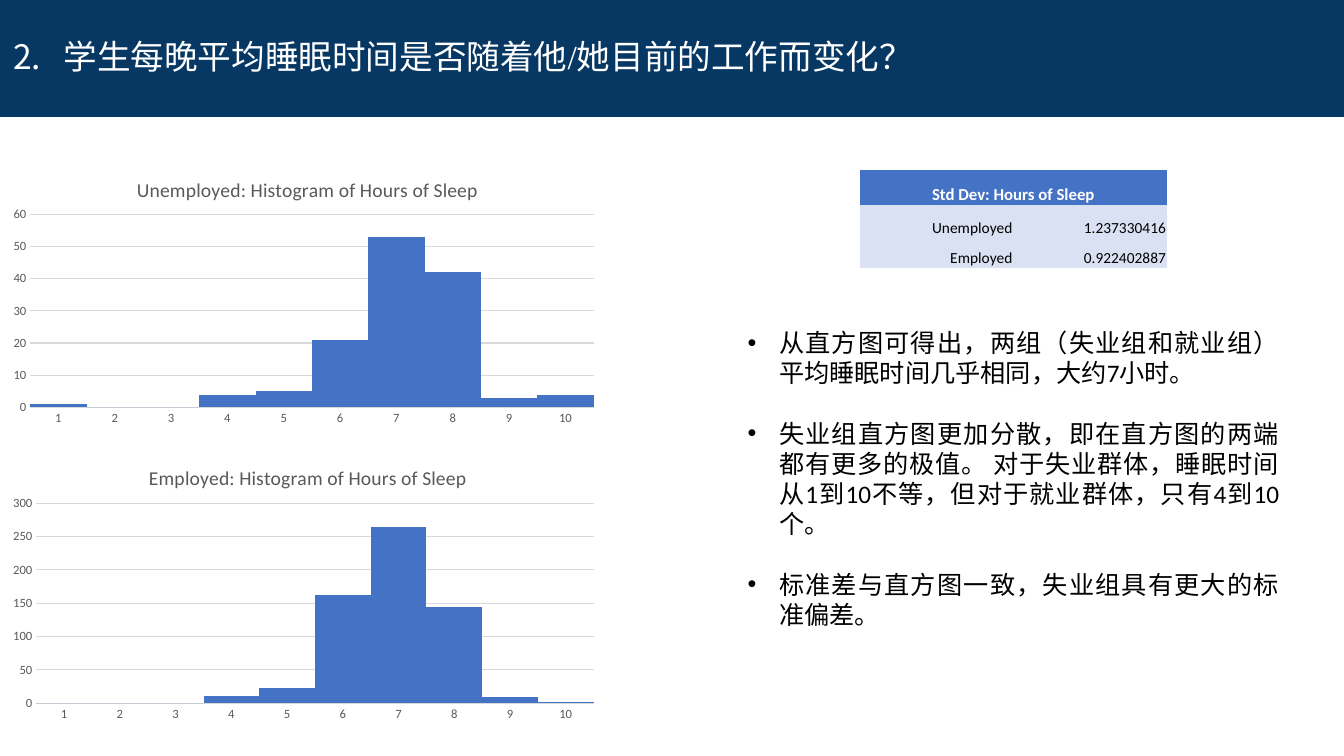
from dataclasses import dataclass

from lxml import etree
from pptx import Presentation
from pptx.chart.data import CategoryChartData
from pptx.dml.color import RGBColor
from pptx.enum.chart import XL_CHART_TYPE, XL_TICK_MARK
from pptx.enum.text import MSO_ANCHOR, MSO_AUTO_SIZE, PP_ALIGN
from pptx.oxml.ns import qn
from pptx.util import Pt

COLORS = {
    "navy": "073763",
    "blue": "4472C4",
    "pale": "D9E1F2",
    "grid": "D9D9D9",
    "gray": "595959",
    "white": "FFFFFF",
    "black": "000000",
}
NO_TABLE_STYLE = "{2D5ABB26-0587-4C30-8999-92F81FD0307C}"


@dataclass(frozen=True)
class Histogram:
    title: str
    counts: tuple[int, ...]
    top: float
    height: float
    axis_max: int
    axis_step: int
    title_x: float
    plot_box: dict[str, float]


HISTOGRAMS = (
    Histogram("Unemployed: Histogram of Hours of Sleep", (1, 0, 0, 4, 5, 21, 53, 42, 3, 4),
              111.6, 197.3, 60, 10, 0.22, {"x": 0.05, "y": 0.21, "w": 0.93, "h": 0.7}),
    Histogram("Employed: Histogram of Hours of Sleep", (0, 0, 0, 10, 22, 163, 265, 144, 9, 1),
              316.8, 203.8, 300, 50, 0.24, {"x": 0.06, "y": 0.21, "w": 0.92, "h": 0.7}),
)
FINDINGS = (
    "从直方图可得出，两组（失业组和就业组）平均睡眠时间几乎相同，大约7小时。",
    "失业组直方图更加分散，即在直方图的两端都有更多的极值。 对于失业群体，睡眠时间从1到10不等，但对于就业群体，只有4到10个。",
    "标准差与直方图一致，失业组具有更大的标准偏差。",
)
DEVIATIONS = (
    ("Std Dev: Hours of Sleep", ""),
    ("Unemployed", "1.237330416"),
    ("Employed", "0.922402887"),
)


def rgb(name: str) -> RGBColor:
    return RGBColor.from_string(COLORS[name])


def style_font(font, size: float, color: str, name: str = "Calibri", bold: bool = False) -> None:
    font.size, font.name, font.bold = Pt(size), name, bold
    font.color.rgb = rgb(color)


def add_bullet(paragraph, indent: float, typeface: str, tag: str, **attributes: str) -> None:
    properties = paragraph._p.get_or_add_pPr()
    properties.set("marL", str(Pt(indent)))
    properties.set("indent", str(Pt(-indent)))
    etree.SubElement(properties, qn("a:buFont")).set("typeface", typeface)
    etree.SubElement(properties, qn(tag), attributes)


def set_layout(parent, position: int, box: dict[str, float], inner: bool = False) -> None:
    for old in parent.findall(qn("c:layout")):
        parent.remove(old)
    layout = etree.Element(qn("c:layout"))
    manual = etree.SubElement(layout, qn("c:manualLayout"))
    if inner:
        etree.SubElement(manual, qn("c:layoutTarget")).set("val", "inner")
    for key in ("x", "y"):
        etree.SubElement(manual, qn(f"c:{key}Mode")).set("val", "edge")
    for key, value in box.items():
        etree.SubElement(manual, qn(f"c:{key}")).set("val", str(value))
    parent.insert(position, layout)


def set_title(slide, text: str) -> None:
    title = slide.shapes.title
    title.left, title.top, title.width, title.height = Pt(0), Pt(0), Pt(960), Pt(83.5)
    title.fill.solid()
    title.fill.fore_color.rgb = rgb("navy")
    frame = title.text_frame
    frame.text = text
    frame.word_wrap, frame.auto_size = True, MSO_AUTO_SIZE.NONE
    frame.vertical_anchor = MSO_ANCHOR.MIDDLE
    frame.margin_left = frame.margin_right = frame.margin_top = frame.margin_bottom = Pt(9.4)
    paragraph = frame.paragraphs[0]
    paragraph.alignment, paragraph.line_spacing = PP_ALIGN.LEFT, 0.9
    add_bullet(paragraph, 36, "Calibri", "a:buAutoNum", type="arabicPeriod", startAt="2")
    style_font(paragraph.runs[0].font, 24, "white", "Times New Roman")


def add_findings(slide) -> None:
    frame = slide.shapes.add_textbox(Pt(527), Pt(230.4), Pt(393.8), Pt(225.4)).text_frame
    frame.word_wrap = True
    for index, finding in enumerate(FINDINGS):
        paragraph = frame.add_paragraph() if index else frame.paragraphs[0]
        paragraph.alignment = PP_ALIGN.JUSTIFY
        paragraph.space_before = Pt(21.5 if index else 0)
        add_bullet(paragraph, 22.5, "Arial", "a:buChar", char="•")
        run = paragraph.add_run()
        run.text = finding
        style_font(run.font, 18, "black")


def add_histogram(slide, spec: Histogram) -> None:
    data = CategoryChartData()
    data.categories = [str(hour) for hour in range(1, len(spec.counts) + 1)]
    data.add_series("Series 1", spec.counts)
    chart = slide.shapes.add_chart(XL_CHART_TYPE.COLUMN_CLUSTERED, Pt(0), Pt(spec.top),
                                   Pt(432.7), Pt(spec.height), data).chart
    style_font(chart.font, 10, "black")
    chart.has_legend = False
    title = chart.chart_title
    title.text_frame.text = spec.title
    title.include_in_layout = False
    style_font(title.text_frame.paragraphs[0].runs[0].font, 14, "gray")

    plot = chart.plots[0]
    plot.gap_width, plot.vary_by_categories = 0, False
    fill = plot.series[0].format.fill
    fill.solid()
    fill.fore_color.rgb = rgb("blue")

    hours, counts = chart.category_axis, chart.value_axis
    for axis in (hours, counts):
        axis.major_tick_mark = axis.minor_tick_mark = XL_TICK_MARK.NONE
        style_font(axis.tick_labels.font, 9, "gray")
    counts.minimum_scale, counts.maximum_scale = 0, spec.axis_max
    counts.major_unit = spec.axis_step
    counts.format.line.fill.background()
    for line in (hours.format.line, counts.major_gridlines.format.line):
        line.color.rgb, line.width = rgb("grid"), Pt(0.75)

    set_layout(next(chart.element.iter(qn("c:plotArea"))), 0, spec.plot_box, inner=True)
    set_layout(next(chart.element.iter(qn("c:title"))), 1, {"x": spec.title_x, "y": 0.06})


def add_deviations(slide) -> None:
    frame = slide.shapes.add_table(3, 2, Pt(614.2), Pt(121.7), Pt(219.4), Pt(69.8))
    next(frame.element.iter(qn("a:tableStyleId"))).text = NO_TABLE_STYLE
    table = frame.table
    for row, height in zip(table.rows, (24.8, 23, 22)):
        row.height = Pt(height)
    table.cell(0, 0).merge(table.cell(0, 1))
    for row, values in enumerate(DEVIATIONS):
        header = row == 0
        for column, value in enumerate(values):
            cell = table.cell(row, column)
            cell.fill.solid()
            cell.fill.fore_color.rgb = rgb("blue" if header else "pale")
            cell.margin_left = cell.margin_right = cell.margin_top = Pt(0.7)
            cell.margin_bottom = Pt(0)
            cell.vertical_anchor = MSO_ANCHOR.BOTTOM
            paragraph = cell.text_frame.paragraphs[0]
            paragraph.text = value
            paragraph.alignment = PP_ALIGN.CENTER if header else PP_ALIGN.RIGHT
            style_font(paragraph.font, 12 if header else 11,
                       "white" if header else "black", bold=header)


def main() -> None:
    deck = Presentation()
    deck.slide_width, deck.slide_height = Pt(960), Pt(540)
    slide = deck.slides.add_slide(deck.slide_layouts[5])
    set_title(slide, "学生每晚平均睡眠时间是否随着他/她目前的工作而变化？")
    add_findings(slide)
    for histogram in HISTOGRAMS:
        add_histogram(slide, histogram)
    add_deviations(slide)
    deck.save("out.pptx")


main()
